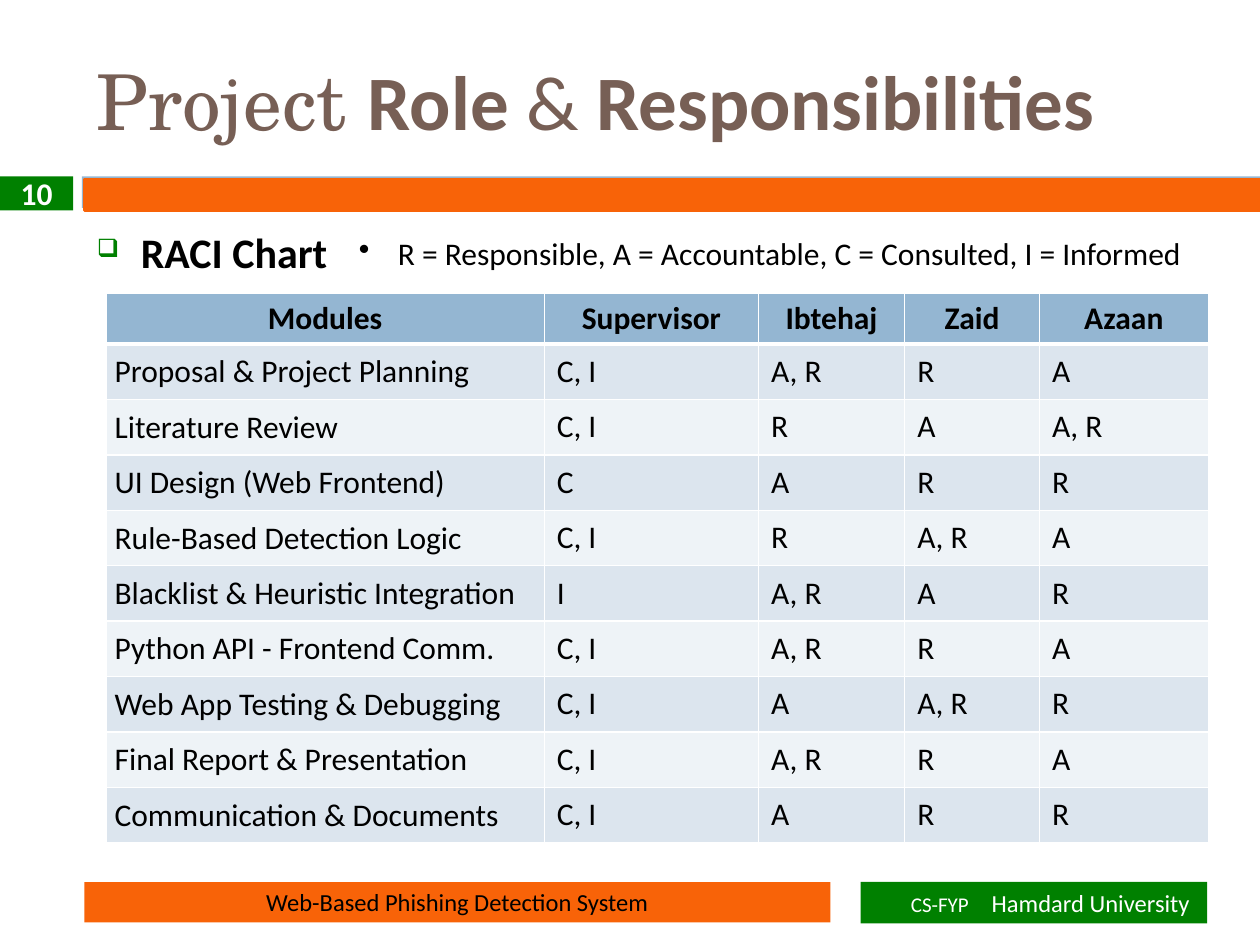
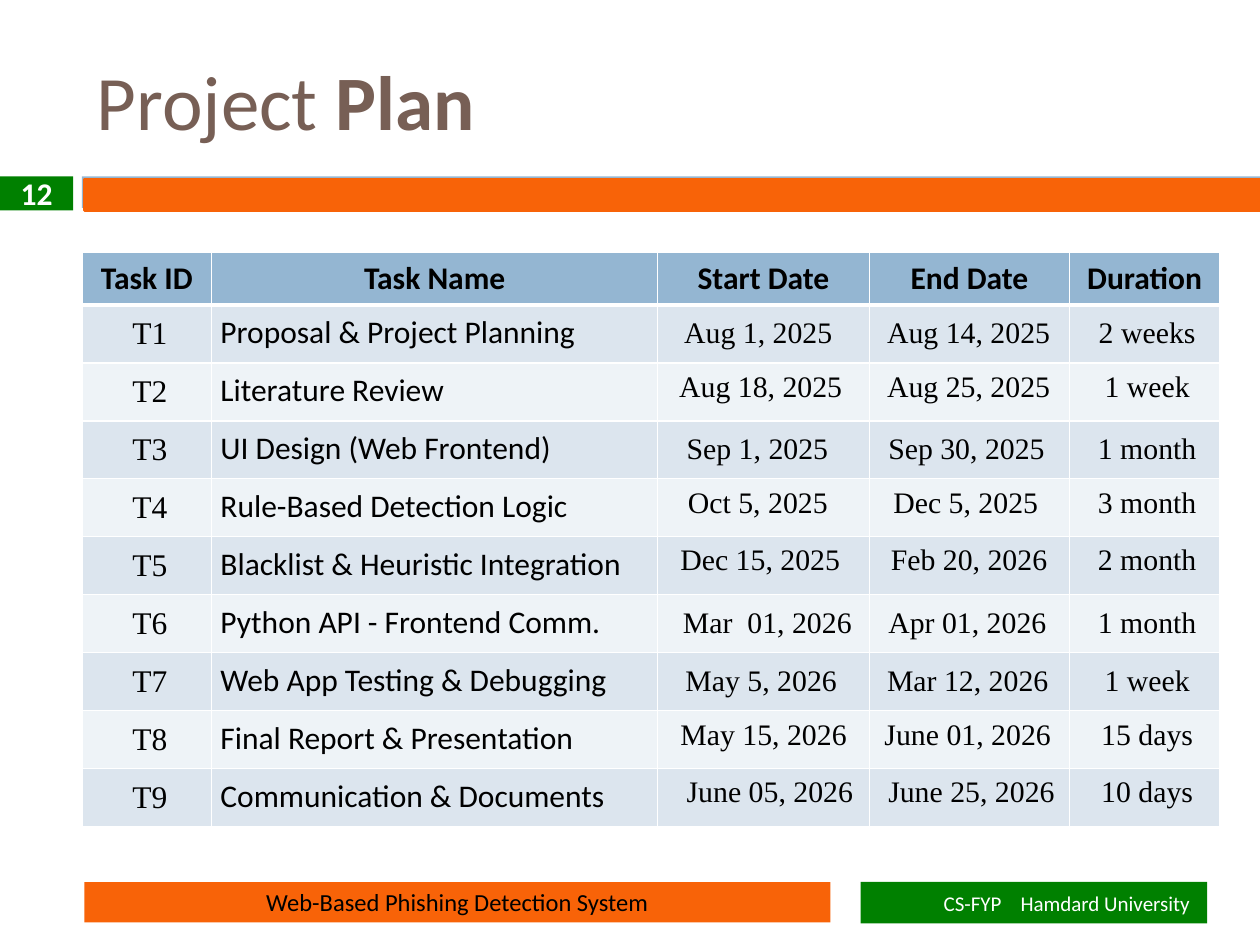
from itertools import product

from lxml import etree
from pptx import Presentation
from pptx import util as u
from pptx.dml.color import RGBColor
from pptx.enum import shapes, text
from pptx.oxml.ns import qn

# Shared colours and fonts
WHITE = RGBColor(0xFF, 0xFF, 0xFF)
BLACK = RGBColor(0x00, 0x00, 0x00)
ORANGE = RGBColor(0xF8, 0x63, 0x08)
GREEN = RGBColor(0x00, 0x80, 0x00)
BLUE = RGBColor(0x94, 0xB6, 0xD2)
BROWN = RGBColor(0x77, 0x5F, 0x55)
ROW_FILLS = (RGBColor(0xEE, 0xF3, 0xF7), RGBColor(0xDC, 0xE5, 0xEE))
SANS, SERIF, SCHOLA = "Calibri", "Times New Roman", "TeX Gyre Schola"
LEFT, CENTER = text.PP_ALIGN.LEFT, text.PP_ALIGN.CENTER
MIDDLE, TOP = text.MSO_ANCHOR.MIDDLE, text.MSO_ANCHOR.TOP

# Content
TASKS = [
    "Proposal & Project Planning", "Literature Review",
    "UI Design (Web Frontend)", "Rule-Based Detection Logic",
    "Blacklist & Heuristic Integration", "Python API - Frontend Comm.",
    "Web App Testing & Debugging", "Final Report & Presentation",
    "Communication & Documents",
]
RACI_HEADER = ["Modules", "Supervisor", "Ibtehaj", "Zaid", "Azaan"]
RACI_ROLES = [
    ("C, I", "A, R", "R", "A"), ("C, I", "R", "A", "A, R"),
    ("C", "A", "R", "R"), ("C, I", "R", "A, R", "A"),
    ("I", "A, R", "A", "R"), ("C, I", "A, R", "R", "A"),
    ("C, I", "A", "A, R", "R"), ("C, I", "A, R", "R", "A"),
    ("C, I", "A", "R", "R"),
]
PLAN_HEADER = ["Task ID", "Task Name", "Start Date", "End Date", "Duration"]
# start, its indent, end, its indent, duration, line spacing in points
SCHEDULE = [
    ("Aug 1, 2025", 0.21, "Aug 14, 2025", 0.14, "2 weeks", None),
    ("Aug 18, 2025", 0.17, "Aug 25, 2025", 0.14, "1 week", 13.5),
    ("Sep 1, 2025", 0.23, "Sep 30, 2025", 0.15, "1 month", None),
    ("Oct 5, 2025", 0.24, "Dec 5, 2025", 0.19, "3 month", 13.8),
    ("Dec 15, 2025", 0.18, "Feb 20, 2026", 0.17, "2 month", 13.4),
    ("Mar  01, 2026", 0.2, "Apr 01, 2026", 0.15, "1 month", None),
    ("May 5, 2026", 0.22, "Mar 12, 2026", 0.14, "1 week", None),
    ("May 15, 2026", 0.18, "June 01, 2026", 0.12, "15 days", 13.8),
    ("June 05, 2026", 0.23, "June 25, 2026", 0.15, "10 days", 13.4),
]


def assign(target, values):
    for name, value in values.items():
        setattr(target, name, value)


def add_xml(parent, tag, **attributes):
    return etree.SubElement(parent, qn(tag), attributes)


class Deck:
    """Holds the style and the current slide."""

    def __init__(self):
        self.prs = Presentation()
        assign(self.prs, {"slide_width": u.Inches(10), "slide_height": u.Inches(7.5)})
        self.slide = None

    def put_text(self, paragraph, content, size=18, font=SANS, color=BLACK, bold=False):
        run = paragraph.add_run()
        run.text = content
        assign(run.font, {"size": u.Pt(size), "name": font, "bold": bold})
        run.font.color.rgb = color

    def text_box(self, *place, anchor=TOP):
        frame = self.slide.shapes.add_textbox(*map(u.Inches, place)).text_frame
        assign(frame, {"word_wrap": True, "vertical_anchor": anchor})
        return frame.paragraphs[0]

    def bar(self, *place, fill, align=CENTER, outline=None):
        shape = self.slide.shapes.add_shape(
            shapes.MSO_SHAPE.RECTANGLE, *map(u.Inches, place))
        shape.shadow.inherit = False
        shape.fill.solid()
        shape.fill.fore_color.rgb = fill
        if outline:
            shape.line.color.rgb = fill
            shape.line.width = u.Pt(outline)
        else:
            shape.line.fill.background()
        frame = shape.text_frame
        assign(frame, {"word_wrap": True, "vertical_anchor": MIDDLE})
        frame.paragraphs[0].alignment = align
        return frame

    def bullet(self, paragraph, char, indent, color=BLACK, percent=100):
        props = paragraph._p.get_or_add_pPr()
        props.set("marL", str(u.Inches(indent)))
        props.set("indent", str(-u.Inches(indent)))
        add_xml(add_xml(props, "a:buClr"), "a:srgbClr", val=str(color))
        add_xml(props, "a:buSzPct", val=str(percent * 1000))
        add_xml(props, "a:buChar", char=char)

    def new_slide(self, number, title_runs, unit_inset, unit_tab, university_size):
        self.slide = self.prs.slides.add_slide(self.prs.slide_layouts[6])
        # Title and band
        self.bar(0.65, 1.4, 9.35, 0.25, fill=BLUE)
        self.bar(0.67, 1.42, 9.33, 0.25, fill=ORANGE, outline=1.5)
        title = self.text_box(0.67, 0.25, 8.33, 1.08, anchor=MIDDLE)
        for content, font, bold in title_runs:
            self.put_text(title, content, 44, font, BROWN, bold)
        # Footers
        project = self.bar(0.67, 7, 5.92, 0.32, fill=ORANGE)
        self.put_text(project.paragraphs[0], "Web-Based Phishing Detection System", 14)
        unit = self.bar(6.83, 7, 2.75, 0.33, fill=GREEN, align=LEFT)
        unit.margin_left = u.Inches(unit_inset)
        line = unit.paragraphs[0]
        tabs = add_xml(line._p.get_or_add_pPr(), "a:tabLst")
        add_xml(tabs, "a:tab", pos=str(u.Inches(unit_tab)), algn="l")
        self.put_text(line, "CS-FYP\t", 12, color=WHITE)
        self.put_text(line, "Hamdard University", university_size, color=WHITE)
        # Slide number
        badge = self.bar(0, 1.4, 0.58, 0.27, fill=GREEN)
        self.put_text(badge.paragraphs[0], number, color=WHITE, bold=True)

    def table(self, left, top, widths, header, row_count, header_height, row_height):
        heights = [header_height] + [row_height] * row_count
        grid = self.slide.shapes.add_table(
            len(heights), len(widths), *map(u.Inches, (left, top, sum(widths), sum(heights)))
        ).table
        assign(grid, {"first_row": False, "horz_banding": False})
        for column, width in zip(grid.columns, widths):
            column.width = u.Inches(width)
        for row, height in zip(grid.rows, heights):
            row.height = u.Inches(height)
        for row, col in product(range(len(heights)), range(len(widths))):
            cell = grid.cell(row, col)
            self.borders(cell, row)
            cell.fill.solid()
            cell.fill.fore_color.rgb = ROW_FILLS[row % 2] if row else BLUE
        for col, label in enumerate(header):
            self.cell(grid.cell(0, col), label, align=CENTER, bold=True)
        return grid

    def borders(self, cell, row):
        thick = {0: "B", 1: "T"}.get(row)  # heavy rule under the header
        for side in "LRTB":
            width = u.Pt(3 if side == thick else 1)
            line = add_xml(cell._tc.get_or_add_tcPr(), f"a:ln{side}", w=str(width))
            add_xml(add_xml(line, "a:solidFill"), "a:srgbClr", val=str(WHITE))

    def cell(self, cell, content, align=LEFT, anchor=MIDDLE, inset=None,
             indent=0, spacing=None, **font):
        cell.vertical_anchor = anchor
        if inset is not None:
            sides = ("left", "top", "right", "bottom")
            assign(cell, {f"margin_{side}": u.Inches(inset) for side in sides})
        paragraph = cell.text_frame.paragraphs[0]
        paragraph.alignment = align
        if indent:
            paragraph._p.get_or_add_pPr().set("marL", str(u.Inches(indent)))
        if spacing:
            paragraph.line_spacing = u.Pt(spacing)
        self.put_text(paragraph, content, **font)

    def task_cell(self, cell, task):
        self.cell(cell, task, anchor=TOP, inset=0.07)


def raci_slide(deck):
    deck.new_slide("10", [("Project ", SCHOLA, False), ("Role", SANS, True),
                          (" & ", SANS, False), ("Responsibilities", SANS, True)],
                   unit_inset=0.4, unit_tab=0.64, university_size=14)
    # Heading and key
    heading = deck.text_box(0.67, 1.75, 2.2, 0.5)
    deck.bullet(heading, "❑", 0.35, GREEN, 60)
    deck.put_text(heading, "RACI Chart", 24, bold=True)
    key = deck.text_box(2.75, 1.81, 6.83, 0.4)
    deck.bullet(key, "•", 0.31)
    deck.put_text(key, "R = Responsible, A = Accountable, C = Consulted, I = Informed")
    # Role matrix
    matrix = deck.table(0.84, 2.33, [3.48, 1.7, 1.16, 1.07, 1.34], RACI_HEADER,
                        len(TASKS), 0.4, 0.44)
    for row, (task, roles) in enumerate(zip(TASKS, RACI_ROLES), start=1):
        deck.task_cell(matrix.cell(row, 0), task)
        for col, role in enumerate(roles, start=1):
            deck.cell(matrix.cell(row, col), role)


def plan_slide(deck):
    deck.new_slide("12", [("Project ", SANS, False), ("Plan", SANS, True)],
                   unit_inset=0.66, unit_tab=0.61, university_size=12)
    # Schedule
    plan = deck.table(0.65, 2, [1.03, 3.54, 1.68, 1.59, 1.19], PLAN_HEADER,
                      len(TASKS), 0.42, 0.46)
    for row, (task, entry) in enumerate(zip(TASKS, SCHEDULE), start=1):
        start, start_indent, end, end_indent, duration, spacing = entry
        timing = {"inset": 0, "font": SERIF, "size": 17, "spacing": spacing}
        deck.cell(plan.cell(row, 0), f"T{row}", align=CENTER, inset=0,
                  indent=0.05, font=SERIF)
        deck.task_cell(plan.cell(row, 1), task)
        deck.cell(plan.cell(row, 2), start, indent=start_indent, **timing)
        deck.cell(plan.cell(row, 3), end, indent=end_indent, **timing)
        deck.cell(plan.cell(row, 4), duration, align=CENTER, indent=0.04, **timing)


def main():
    deck = Deck()
    raci_slide(deck)
    plan_slide(deck)
    deck.prs.save("out.pptx")


if __name__ == "__main__":
    main()
